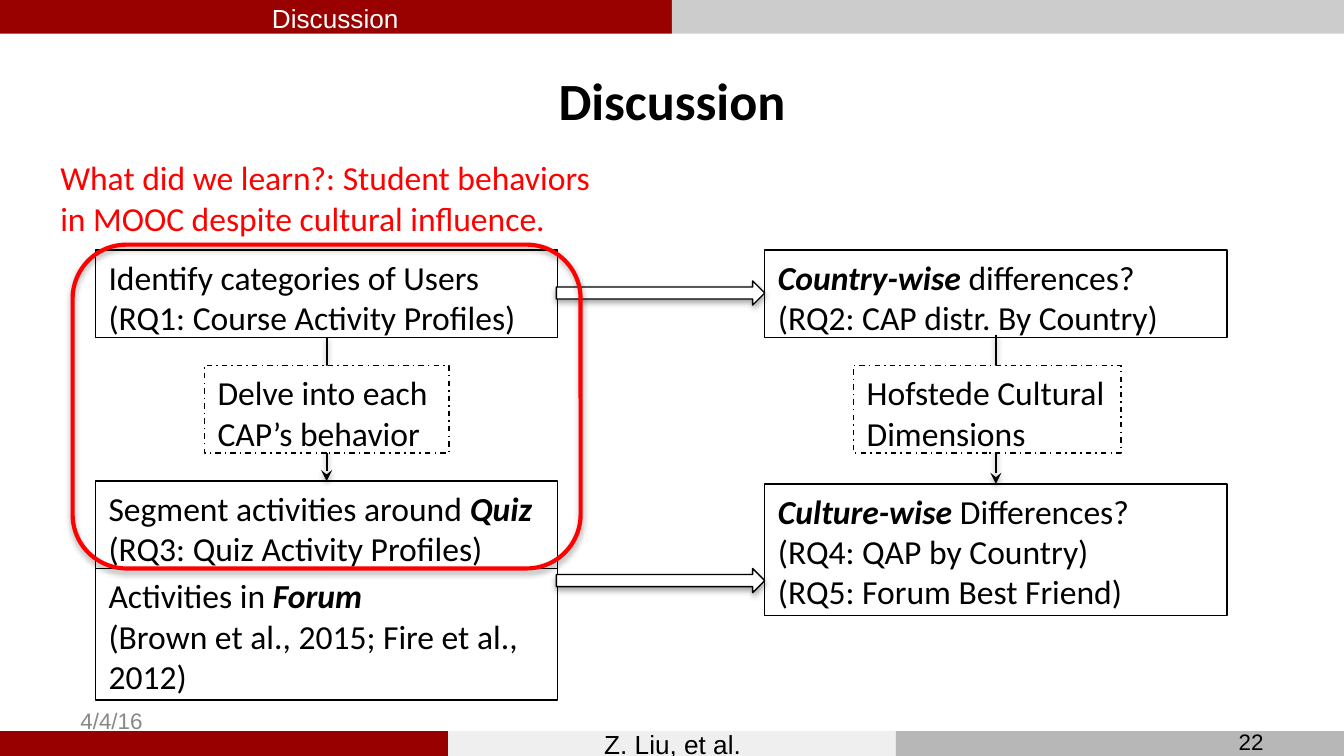
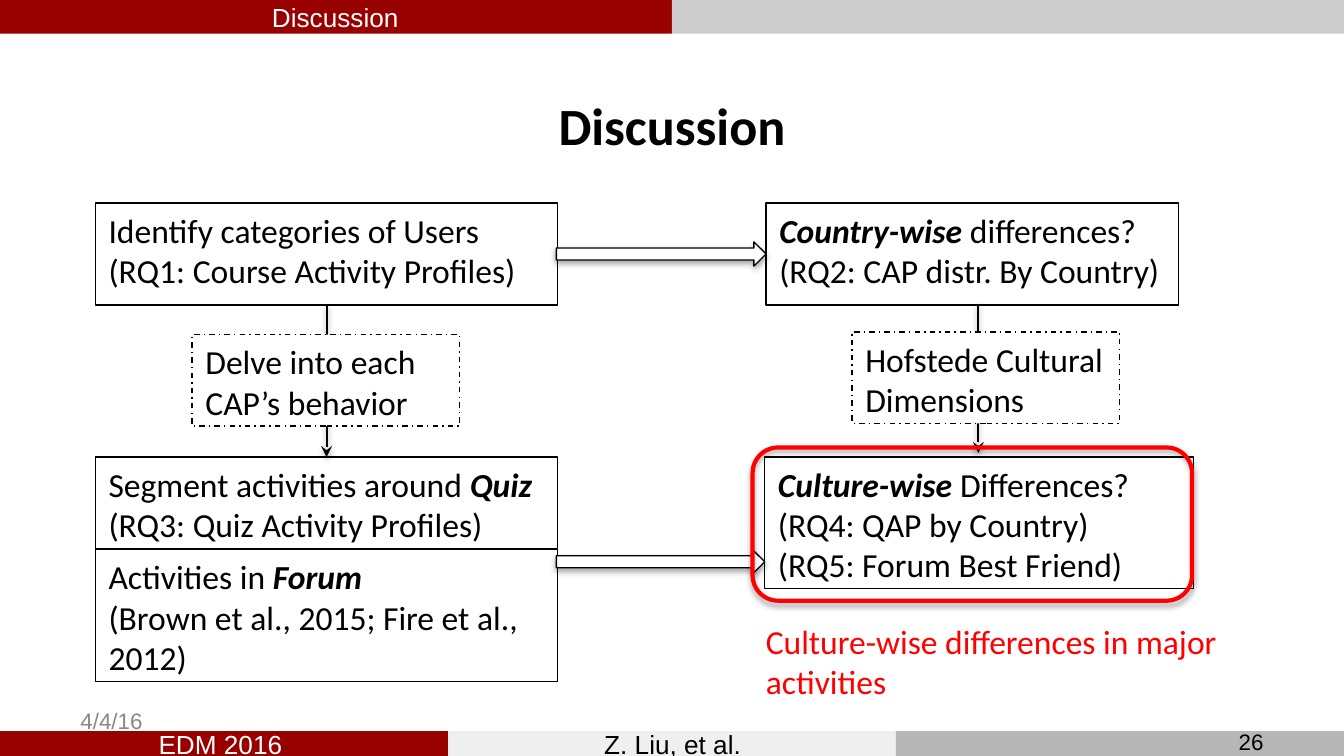
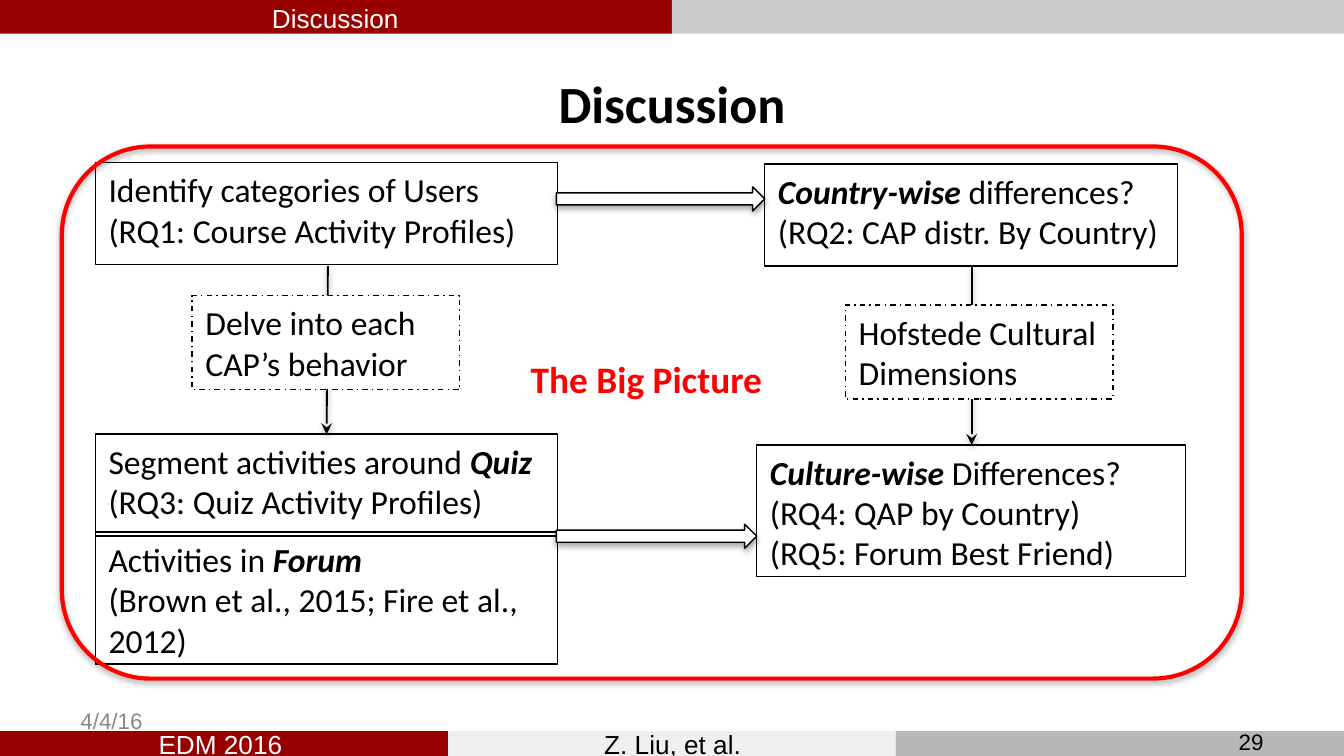
from dataclasses import dataclass
from typing import NamedTuple, Optional

from lxml import etree
from pptx import Presentation
from pptx.dml.color import RGBColor
from pptx.enum.dml import MSO_LINE_DASH_STYLE as Dash
from pptx.enum.shapes import MSO_CONNECTOR as Connector
from pptx.enum.shapes import MSO_SHAPE as Shape
from pptx.enum.text import MSO_ANCHOR as Anchor
from pptx.enum.text import MSO_AUTO_SIZE as AutoSize
from pptx.enum.text import PP_ALIGN as Align
from pptx.oxml.ns import qn
from pptx.util import Inches, Pt

# Shared look
BLACK, WHITE, RED, GRAY = "000000", "FFFFFF", "FF0000", "888888"
SLIDE_WIDTH, SLIDE_HEIGHT = 10, 5.625
TOP_BAND = (0, 0.25, ("990000", "CCCCCC"))
BOTTOM_BAND = (5.44, 0.19, ("980000", "EFEFEF", "B7B7B7"))
BODY = {"name": "Calibri", "size": Pt(18), "bold": False, "italic": False}
TITLE = BODY | {"size": Pt(28), "bold": True}
BIG_CALLOUT = BODY | {"size": Pt(20), "bold": True}
BAND_TEXT = BODY | {"name": "Arial", "size": Pt(14)}
SMALL_TEXT = BAND_TEXT | {"size": Pt(12)}
STRONG = {"bold": True, "italic": True}

# Shared diagram measures
LEFT_COLUMN, LEFT_WIDTH = 0.71, 3.44
TALL_BOX = 0.98
ARROW_LEFT, ARROW_HEIGHT = 4.14, 0.18


class Area(NamedTuple):
    left: float
    top: float
    width: float
    height: float


class Span(NamedTuple):
    text: str
    strong: bool = False


class Shadow(NamedTuple):
    blur: float
    distance: float
    opacity: int


class Link(NamedTuple):
    start: tuple[float, float]
    end: tuple[float, float]


SHAPE_SHADOW = Shadow(3.15, 1.81, 35)
LINK_SHADOW = Shadow(3.15, 1.57, 38)

Paragraphs = list[list[Span]]

USERS = [[Span("Identify categories of Users")],
         [Span("(RQ1: Course Activity Profiles)")]]
COUNTRY = [[Span("Country-wise ", True),
            Span("differences? (RQ2: CAP distr. By Country)")]]
QUIZ = [[Span("Segment activities around "), Span("Quiz", True)],
        [Span("(RQ3: Quiz Activity Profiles)")]]
CULTURE = [[Span("Culture-wise ", True), Span("Differences?")],
           [Span("(RQ4: QAP by Country)")],
           [Span("(RQ5: Forum Best Friend)")]]
FORUM = [[Span("Activities in "), Span("Forum", True)],
         [Span("(Brown et al., 2015; Fire et al., 2012)")]]
DELVE = [[Span("Delve into each CAP’s behavior")]]
HOFSTEDE = [[Span("Hofstede Cultural Dimensions")]]


@dataclass
class DiscussionPage:
    number: int
    title_top: float
    users: tuple[float, float]  # top and height
    quiz: tuple[float, float]
    forum_top: float
    country: Area
    culture: Area
    arrow_tops: tuple[float, float]
    delve_link: Link
    delve: Area
    hofstede_link: Link
    hofstede: Area
    frame: Area
    callout: str
    callout_area: Area
    callout_format: dict
    venue: Optional[str] = "EDM 2016"
    heading_top: float = -0.03


PAGES = [
    DiscussionPage(
        number=22, title_top=0.3, users=(1.86, 0.65), quiz=(3.58, 0.65), forum_top=4.23,
        country=Area(5.69, 1.86, 3.44, 0.65), culture=Area(5.69, 3.6, 3.44, TALL_BOX),
        arrow_tops=(2.09, 4.23),
        delve_link=Link((2.43, 2.51), (2.43, 3.58)), delve=Area(1.52, 2.72, 1.82, 0.65),
        hofstede_link=Link((7.41, 2.49), (7.41, 3.6)), hofstede=Area(6.35, 2.72, 1.99, 0.65),
        frame=Area(0.54, 1.82, 3.78, 2.41),
        callout="What did we learn?: Student behaviors in MOOC despite cultural influence.",
        callout_area=Area(0.35, 1.12, 4.32, 0.53), callout_format=BODY, venue=None),
    DiscussionPage(
        number=26, title_top=0.49, users=(1.51, 0.76), quiz=(3.4, 0.68), forum_top=4.09,
        country=Area(5.7, 1.51, 3.07, 0.76), culture=Area(5.69, 3.4, 3.19, TALL_BOX),
        arrow_tops=(1.8, 4.09),
        delve_link=Link((2.43, 2.27), (2.43, 3.4)), delve=Area(1.43, 2.49, 1.99, 0.68),
        hofstede_link=Link((7.28, 2.26), (7.28, 3.37)), hofstede=Area(6.34, 2.47, 1.99, 0.68),
        frame=Area(5.6, 3.33, 3.27, 1.14),
        callout="Culture-wise differences in major activities",
        callout_area=Area(5.6, 4.57, 4.26, 0.53), callout_format=BODY, heading_top=-0.04),
    DiscussionPage(
        number=29, title_top=0.32, users=(1.21, 0.76), quiz=(3.23, 0.76), forum_top=3.96,
        country=Area(5.69, 1.22, 3.07, 0.76), culture=Area(5.63, 3.31, 3.19, TALL_BOX),
        arrow_tops=(1.39, 3.9),
        delve_link=Link((2.44, 1.98), (2.43, 3.23)), delve=Area(1.43, 2.2, 1.99, 0.7),
        hofstede_link=Link((7.23, 1.98), (7.23, 3.31)), hofstede=Area(6.29, 2.27, 1.99, 0.7),
        frame=Area(0.46, 1.09, 8.78, 3.96),
        callout="The Big Picture",
        callout_area=Area(3.85, 2.6, 2, 0.33), callout_format=BIG_CALLOUT),
]


def rgb(value: str) -> RGBColor:
    return RGBColor.from_string(value)


def inches(values) -> list:
    return [Inches(value) for value in values]


def set_shadow(shape, shadow: Optional[Shadow]) -> None:
    """Replace the theme effect with the given shadow, or with none."""
    effects = etree.SubElement(shape._element.spPr, qn("a:effectLst"))
    if shadow:
        outer = etree.SubElement(effects, qn("a:outerShdw"), {
            "blurRad": str(Pt(shadow.blur)), "dist": str(Pt(shadow.distance)),
            "dir": "5400000", "rotWithShape": "0"})
        color = etree.SubElement(outer, qn("a:srgbClr"), val=BLACK)
        etree.SubElement(color, qn("a:alpha"), val=str(shadow.opacity * 1000))


def write_text(shape, paragraphs: Paragraphs, font: dict, color: str = BLACK,
               align=Align.LEFT, anchor=Anchor.TOP) -> None:
    frame = shape.text_frame
    frame.word_wrap = True
    frame.vertical_anchor = anchor
    for index, spans in enumerate(paragraphs):
        para = frame.add_paragraph() if index else frame.paragraphs[0]
        para.alignment = align
        for text, strong in spans:
            span = para.add_run()
            span.text = text
            for name, value in (font | (STRONG if strong else {})).items():
                setattr(span.font, name, value)
            span.font.color.rgb = rgb(color)


def add_label(page, area: Area, text: str, font: dict, grow: bool = False, **style) -> None:
    box = page.shapes.add_textbox(*inches(area))
    write_text(box, [[Span(text)]], font, **style)
    if grow:
        box.text_frame.auto_size = AutoSize.SHAPE_TO_FIT_TEXT


def add_figure(page, kind, area: Area, fill: Optional[str] = None, line: Optional[str] = BLACK,
               weight: float = 0.75, dash=None, shadow: Optional[Shadow] = None):
    figure = page.shapes.add_shape(kind, *inches(area))
    if fill:
        figure.fill.solid()
        figure.fill.fore_color.rgb = rgb(fill)
    else:
        figure.fill.background()
    if line:
        figure.line.color.rgb = rgb(line)
        figure.line.width = Pt(weight)
        if dash:
            figure.line.dash_style = dash
    else:
        figure.line.fill.background()
    set_shadow(figure, shadow)
    return figure


def add_box(page, area: Area, paragraphs: Paragraphs, **look) -> None:
    write_text(add_figure(page, Shape.RECTANGLE, area, **look), paragraphs, BODY)


def add_link(page, link: Link) -> None:
    connector = page.shapes.add_connector(
        Connector.STRAIGHT, *inches(link.start), *inches(link.end))
    connector.line.color.rgb = rgb(BLACK)
    connector.line.width = Pt(1)
    etree.SubElement(connector.line._get_or_add_ln(), qn("a:tailEnd"), type="stealth")
    set_shadow(connector, LINK_SHADOW)


def add_bands(page) -> None:
    for top, height, colors in (TOP_BAND, BOTTOM_BAND):
        width = SLIDE_WIDTH / len(colors)
        for column, color in enumerate(colors):
            add_figure(page, Shape.RECTANGLE, Area(column * width, top, width, height),
                       fill=color, line=None)


def add_band_texts(page, content: DiscussionPage) -> None:
    add_label(page, Area(0.5, 5.21, 2.33, 0.3), "4/4/16", SMALL_TEXT,
              color=GRAY, anchor=Anchor.MIDDLE)
    centered = [(Area(0, content.heading_top, 4.99, 0.34), "Discussion", WHITE),
                (Area(0, 5.37, 3.28, 0.34), content.venue, WHITE),
                (Area(3.43, 5.37, 3.15, 0.34), "Z. Liu, et al.", BLACK)]
    for area, text, color in centered:
        if text:
            add_label(page, area, text, BAND_TEXT, grow=True, color=color, align=Align.CENTER)
    add_label(page, Area(7.17, 5.37, 2.33, 0.3), str(content.number), SMALL_TEXT,
              align=Align.RIGHT, anchor=Anchor.MIDDLE)


def add_diagram(page, content: DiscussionPage) -> None:
    # Research question boxes
    def left_box(top: float, height: float) -> Area:
        return Area(LEFT_COLUMN, top, LEFT_WIDTH, height)

    for area, paragraphs in ((left_box(*content.users), USERS),
                             (content.country, COUNTRY),
                             (left_box(*content.quiz), QUIZ),
                             (content.culture, CULTURE),
                             (left_box(content.forum_top, TALL_BOX), FORUM)):
        add_box(page, area, paragraphs)

    # Block arrows to the right column
    for top, target in zip(content.arrow_tops, (content.country, content.culture)):
        area = Area(ARROW_LEFT, top, target.left - ARROW_LEFT, ARROW_HEIGHT)
        add_figure(page, Shape.RIGHT_ARROW, area, fill=WHITE, shadow=SHAPE_SHADOW)

    # Downward links with their dashed notes
    for link, area, paragraphs in ((content.delve_link, content.delve, DELVE),
                                   (content.hofstede_link, content.hofstede, HOFSTEDE)):
        add_link(page, link)
        add_box(page, area, paragraphs, fill=WHITE, dash=Dash.DASH_DOT)

    # Red highlight
    add_figure(page, Shape.ROUNDED_RECTANGLE, content.frame, line=RED, weight=2.25,
               shadow=SHAPE_SHADOW)
    add_label(page, content.callout_area, content.callout, content.callout_format, color=RED)


def main() -> None:
    deck = Presentation()
    deck.slide_width, deck.slide_height = inches((SLIDE_WIDTH, SLIDE_HEIGHT))
    for content in PAGES:
        page = deck.slides.add_slide(deck.slide_layouts[6])
        add_bands(page)
        add_label(page, Area(0.5, content.title_top, 9, 0.88), "Discussion", TITLE,
                  align=Align.CENTER, anchor=Anchor.MIDDLE)
        add_diagram(page, content)
        add_band_texts(page, content)
    deck.save("out.pptx")


if __name__ == "__main__":
    main()
